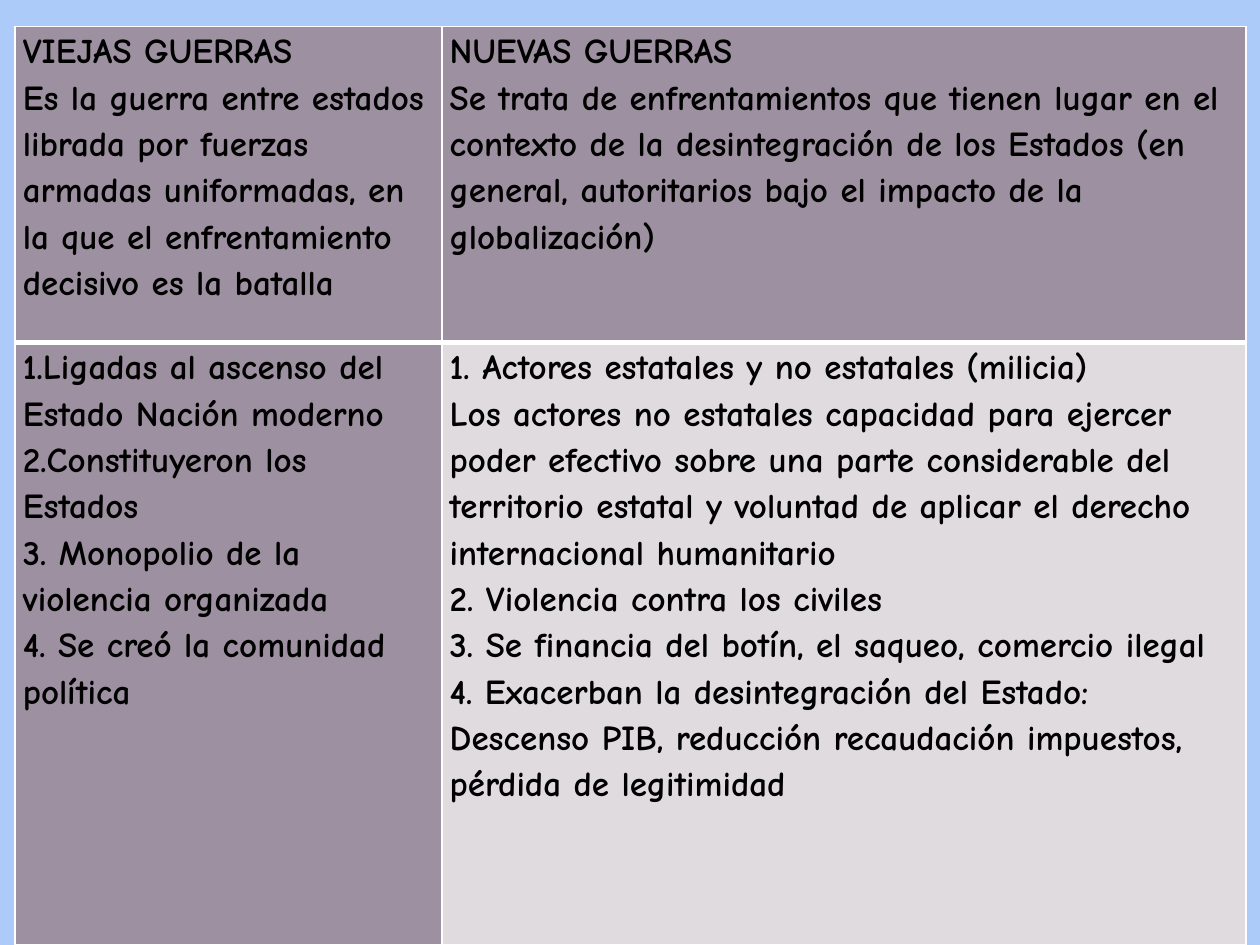
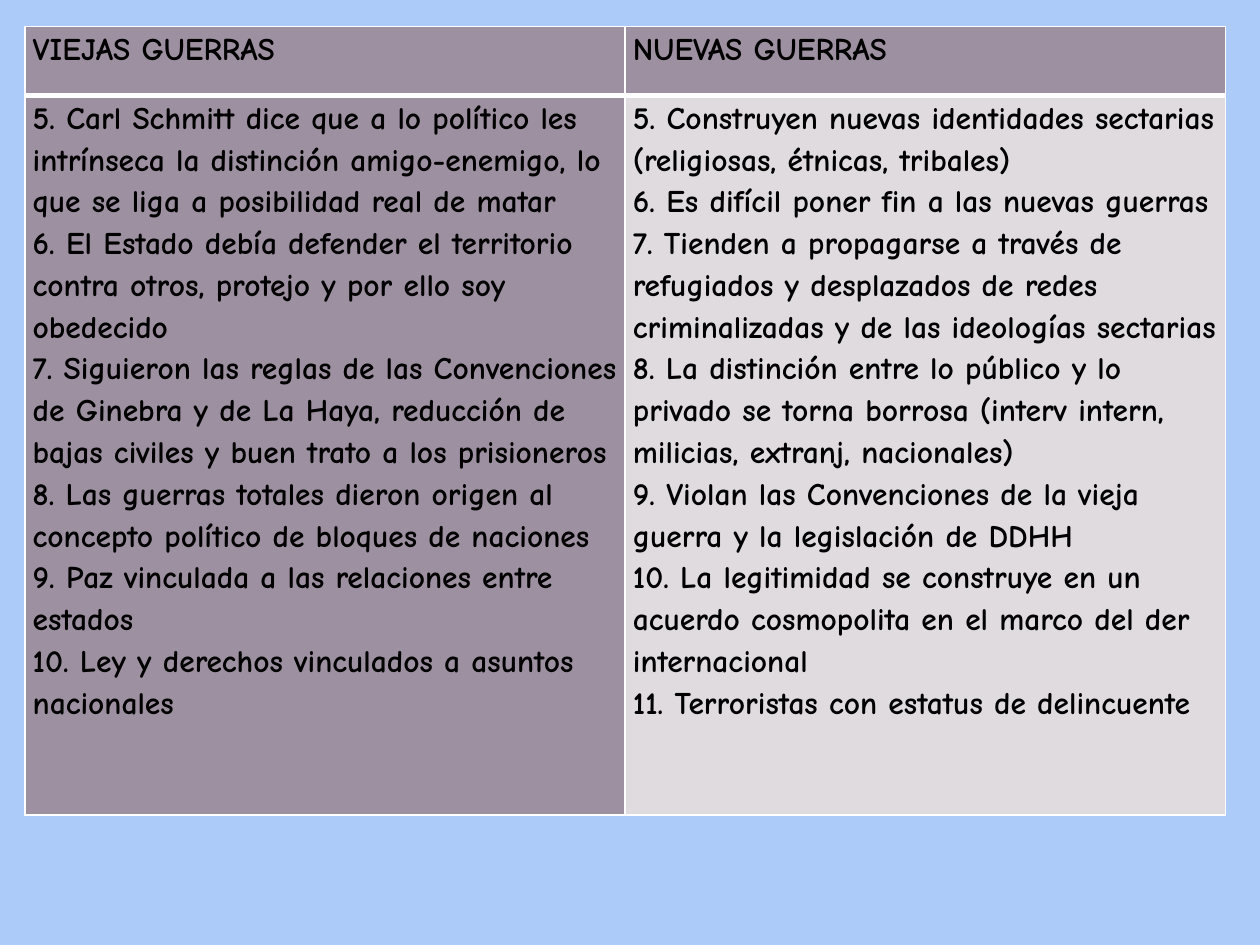
from lxml.etree import SubElement
from pptx import Presentation
from pptx.dml.color import RGBColor
from pptx.oxml.ns import qn
from pptx.util import Pt

# Shared look
FONT = "Comic Neue"
SKY, MAUVE, PALE, WHITE, BLACK = "ACCBF9", "9D90A0", "DFDBDF", "FFFFFF", "000000"
THIN, THICK = 1, 3
HEADINGS = ("VIEJAS GUERRAS", "NUEVAS GUERRAS")

# Wording: one list of paragraphs per column
DEFINITIONS = (
    ["Es la guerra entre estados librada por fuerzas armadas uniformadas, "
     "en la que el enfrentamiento decisivo es la batalla"],
    ["Se trata de enfrentamientos que tienen lugar en el contexto de la "
     "desintegración de los Estados (en general, autoritarios bajo el impacto "
     "de la globalización)"],
)
FIRST_TRAITS = (
    ["1.Ligadas al ascenso del Estado Nación moderno",
     "2.Constituyeron los Estados",
     "3. Monopolio de la violencia organizada",
     "4. Se creó la comunidad política"],
    ["1. Actores estatales y no estatales (milicia)",
     "Los actores no estatales capacidad para ejercer poder efectivo sobre una "
     "parte considerable del territorio estatal y voluntad de aplicar el "
     "derecho internacional humanitario",
     "2. Violencia contra los civiles",
     "3. Se financia del botín, el saqueo, comercio ilegal",
     "4. Exacerban la desintegración del Estado: Descenso PIB, reducción "
     "recaudación impuestos, pérdida de legitimidad"],
)
LATER_TRAITS = (
    ["5. Carl Schmitt dice que a lo político les intrínseca la distinción "
     "amigo-enemigo, lo que se liga a posibilidad real de matar",
     "6. El Estado debía defender el territorio contra otros, protejo y por "
     "ello soy obedecido",
     "7. Siguieron las reglas de las Convenciones de Ginebra y de La Haya, "
     "reducción de bajas civiles y buen trato a los prisioneros",
     "8. Las guerras totales dieron origen al concepto político de bloques de "
     "naciones",
     "9. Paz vinculada a las relaciones entre estados",
     "10. Ley y derechos vinculados a asuntos nacionales"],
    ["5. Construyen nuevas identidades sectarias (religiosas, étnicas, tribales)",
     "6. Es difícil poner fin a las nuevas guerras",
     "7. Tienden a propagarse a través de refugiados y desplazados de redes "
     "criminalizadas y de las ideologías sectarias",
     "8. La distinción entre lo público y lo privado se torna borrosa (interv "
     "intern, milicias, extranj, nacionales)",
     "9. Violan las Convenciones de la vieja guerra y la legislación de DDHH",
     "10. La legitimidad se construye en un acuerdo cosmopolita en el marco "
     "del der internacional",
     "11. Terroristas con estatus de delincuente"],
)


def paint(fill, color):
    fill.solid()
    fill.fore_color.rgb = RGBColor.from_string(color)


def set_borders(cell, top, bottom):
    """White rules round a cell, placed before its fill as the schema asks."""
    tc_pr = cell._tc.get_or_add_tcPr()
    widths = {"a:lnL": THIN, "a:lnR": THIN, "a:lnT": top, "a:lnB": bottom}
    for i, (tag, width) in enumerate(widths.items()):
        ln = SubElement(tc_pr, qn(tag), w=str(Pt(width)))
        solid = SubElement(ln, qn("a:solidFill"))
        SubElement(solid, qn("a:srgbClr"), val=WHITE)
        tc_pr.insert(i, ln)


def write_cell(cell, paragraphs, size):
    cell.margin_left = cell.margin_right = Pt(4.5)
    cell.margin_top = cell.margin_bottom = 0
    tf = cell.text_frame
    for i, text in enumerate(paragraphs):
        p = tf.add_paragraph() if i else tf.paragraphs[0]
        p.line_spacing = 1.15
        r = p.add_run()
        r.text = text
        r.font.name, r.font.size, r.font.bold = FONT, Pt(size), True
        r.font.color.rgb = RGBColor.from_string(BLACK)


def add_comparison(prs, left, widths, heights, size, header, body):
    """A slide with one two-column table: header row over body row."""
    s = prs.slides.add_slide(prs.slide_layouts[6])
    table = s.shapes.add_table(2, 2, Pt(left), Pt(15.1),
                               Pt(sum(widths)), Pt(sum(heights))).table
    for column, width in zip(table.columns, widths):
        column.width = Pt(width)
    for row, height in zip(table.rows, heights):
        row.height = Pt(height)
    for i, texts in enumerate((header, body)):
        for j, paragraphs in enumerate(texts):
            cell = table.cell(i, j)
            write_cell(cell, paragraphs, size)
            paint(cell.fill, PALE if i and j else MAUVE)
            set_borders(cell, *((THICK, THIN) if i else (THIN, THICK)))


def main():
    prs = Presentation()
    prs.slide_width, prs.slide_height = Pt(720), Pt(540)
    paint(prs.slide_master.background.fill, SKY)

    titles = [[heading] for heading in HEADINGS]
    defined = [title + text for title, text in zip(titles, DEFINITIONS)]

    # Definitions and traits 1 to 4
    add_comparison(prs, 8.6, (243.9, 459.5), (180.5, 344.4), 20,
                   defined, FIRST_TRAITS)
    # Traits 5 onwards
    add_comparison(prs, 14.2, (343, 343), (39.5, 411), 18,
                   titles, LATER_TRAITS)

    prs.save("out.pptx")


if __name__ == "__main__":
    main()
